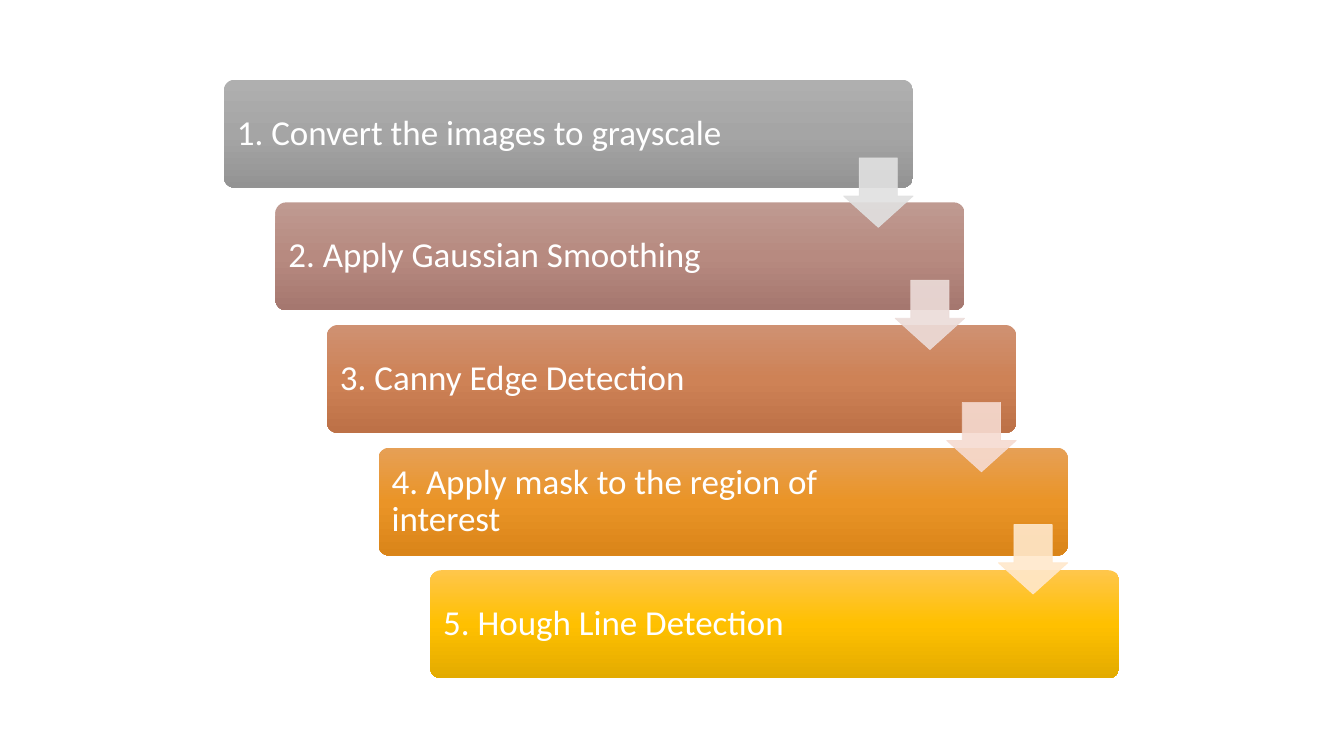
import copy
from dataclasses import dataclass

import lxml.etree
import pptx
import pptx.dml.color
import pptx.enum.shapes
import pptx.enum.text
import pptx.oxml.ns
import pptx.util

Cm = pptx.util.Cm
Pt = pptx.util.Pt
Color = pptx.dml.color.RGBColor.from_string
Shape = pptx.enum.shapes.MSO_SHAPE
qn = pptx.oxml.ns.qn


@dataclass(frozen=True)
class Theme:
    font: str = "Calibri"
    size: float = 25
    text: str = "FFFFFF"
    gradients: tuple = (
        ("AFAFAF", "A5A5A5", "939393"),
        ("BF9A91", "B78A80", "A5776F"),
        ("CF9172", "CE8256", "BD7147"),
        ("E6A056", "EA9427", "DA8519"),
        ("FFC64B", "FFC000", "E3AB00"),
    )
    arrows: tuple = ("E1E1E1", "ECDCD9", "F6DBD1", "FFE8CB")
    arrow_alpha: int = 90


def fill_downward(shape, colors):
    """Fill with a top-to-bottom gradient of three evenly spaced colours."""
    shape.fill.gradient()
    shape.fill.gradient_angle = 270
    stop_list = shape.element.spPr.find(qn("a:gradFill")).find(qn("a:gsLst"))
    stop_list.insert(1, copy.deepcopy(stop_list[0]))
    for index, (stop, color) in enumerate(zip(shape.fill.gradient_stops, colors)):
        stop.position = index / 2
        stop.color.rgb = Color(color)


theme = Theme()
steps = (
    "1. Convert the images to grayscale",
    "2. Apply Gaussian Smoothing",
    "3. Canny Edge Detection",
    "4. Apply mask to the region of interest",
    "5. Hough Line Detection",
)
step_left, step_top, step_width, step_height = 5.64, 2.01, 17.37, 2.72
shift_right, shift_down = 1.3, 3.09
arrow_left, arrow_top, arrow_size, arrow_shift = 21.26, 3.98, 1.75, 3.08

deck = pptx.Presentation()
deck.slide_width, deck.slide_height = Cm(33.87), Cm(19.05)
page = deck.slides.add_slide(deck.slide_layouts[6])

for index, (step, colors) in enumerate(zip(steps, theme.gradients)):
    box = page.shapes.add_shape(
        Shape.ROUNDED_RECTANGLE,
        Cm(step_left + index * shift_right),
        Cm(step_top + index * shift_down),
        Cm(step_width),
        Cm(step_height),
    )
    box.adjustments[0] = 0.1
    box.shadow.inherit = False
    box.line.fill.background()
    fill_downward(box, colors)

    frame = box.text_frame
    frame.word_wrap = True
    frame.vertical_anchor = pptx.enum.text.MSO_ANCHOR.MIDDLE
    frame.margin_left = frame.margin_top = frame.margin_bottom = Cm(0.25)
    frame.margin_right = Cm(3.33)
    para = frame.paragraphs[0]
    para.text = step
    para.alignment = pptx.enum.text.PP_ALIGN.LEFT
    para.line_spacing = 0.9
    para.font.name = theme.font
    para.font.size = Pt(theme.size)
    para.font.color.rgb = Color(theme.text)

for index, color in enumerate(theme.arrows):
    arrow = page.shapes.add_shape(
        Shape.DOWN_ARROW,
        Cm(arrow_left + index * shift_right),
        Cm(arrow_top + index * arrow_shift),
        Cm(arrow_size),
        Cm(arrow_size),
    )
    arrow.adjustments[0] = 0.55
    arrow.adjustments[1] = 0.45
    arrow.shadow.inherit = False
    arrow.line.width = Pt(0.5)
    for paint in (arrow.fill, arrow.line.fill):
        paint.solid()
        paint.fore_color.rgb = Color(color)
    for color_node in arrow.element.spPr.iter(qn("a:srgbClr")):
        alpha = lxml.etree.SubElement(color_node, qn("a:alpha"))
        alpha.set("val", str(theme.arrow_alpha * 1000))

deck.save("out.pptx")
